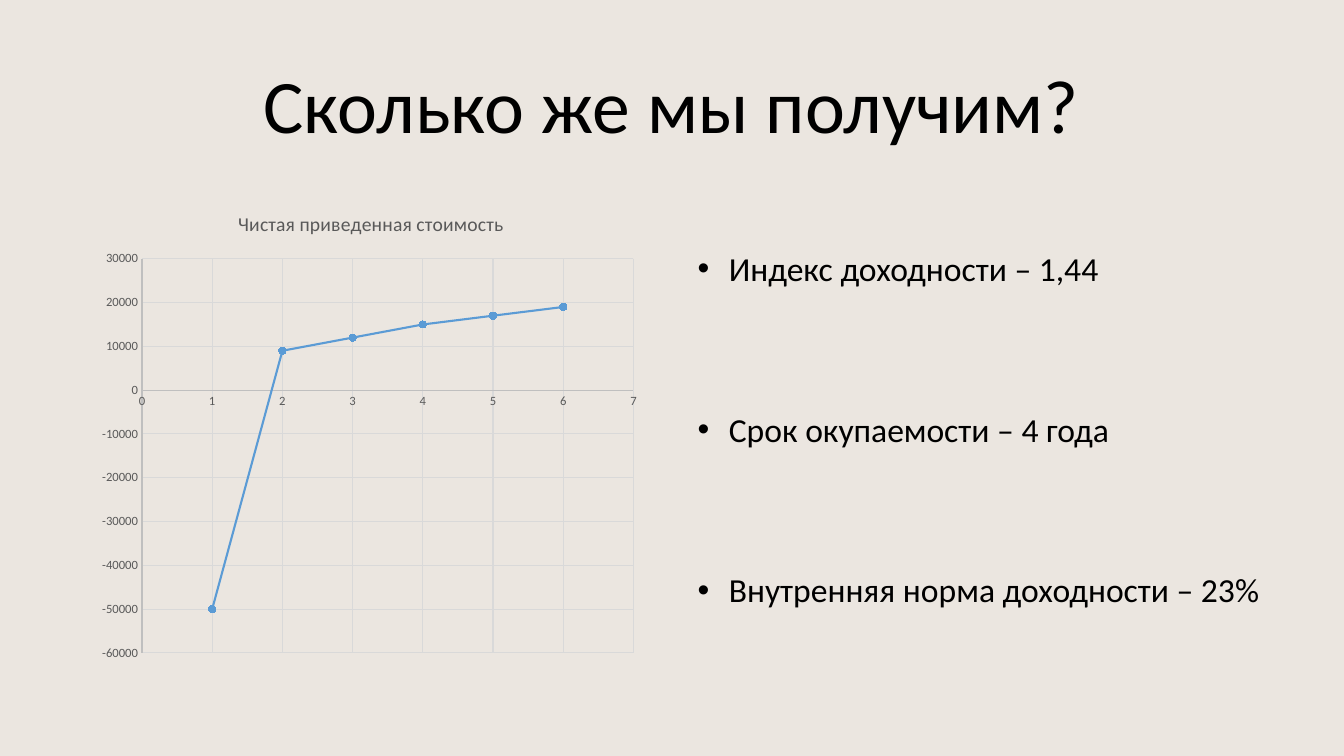
from lxml.etree import SubElement
from pptx import Presentation
from pptx.chart.data import XyChartData
from pptx.dml.color import RGBColor
from pptx.enum.chart import XL_CHART_TYPE, XL_MARKER_STYLE, XL_TICK_MARK
from pptx.enum.text import MSO_ANCHOR, PP_ALIGN
from pptx.oxml import parse_xml
from pptx.oxml.ns import nsdecls, qn
from pptx.util import Inches, Pt

FACTS = [
    "Индекс доходности – 1,44",
    "Срок окупаемости – 4 года",
    "Внутренняя норма доходности – 23%",
]
VALUES = [-50000, 9000, 12000, 15000, 17000, 19000]


def paint(fill, color):
    """Fill with a solid hex colour."""
    fill.solid()
    fill.fore_color.rgb = RGBColor.from_string(color)


def style(font, size, color="000000"):
    """Set the face, size and colour of a font."""
    font.name = "Calibri"
    font.size = Pt(size)
    font.bold = False
    paint(font.fill, color)


def stroke(line, color, width=0.75):
    """Set the colour and width of a line."""
    paint(line.fill, color)
    line.width = Pt(width)


def bullet(para, indent=0.31):
    """Give a paragraph a hanging bullet."""
    props = para._p.get_or_add_pPr()
    props.set("marL", str(Inches(indent)))
    props.set("indent", str(-Inches(indent)))
    props.append(parse_xml(f'<a:buFont {nsdecls("a")} typeface="Arial"/>'))
    props.append(parse_xml(f'<a:buChar {nsdecls("a")} char="•"/>'))


def add_text(slide, lines, box, size, align=PP_ALIGN.LEFT,
             anchor=MSO_ANCHOR.TOP, space=None, gap=0, dots=False):
    """Add a text box with one paragraph per line."""
    frame = slide.shapes.add_textbox(*map(Inches, box)).text_frame
    frame.word_wrap = True
    frame.vertical_anchor = anchor
    for i, line in enumerate(lines):
        para = frame.add_paragraph() if i else frame.paragraphs[0]
        para.alignment = align
        if space:
            para.line_spacing = space
        if i:
            para.space_before = Pt(gap)
        if dots:
            bullet(para)
        run = para.add_run()
        run.text = line
        style(run.font, size)


def place(parent, **parts):
    """Fix the layout of a chart part by fractions of the chart."""
    layout = parent.find(qn("c:layout"))
    if layout is None:
        layout = parent._add_layout() if hasattr(parent, "_add_layout") \
            else SubElement(parent, qn("c:layout"))
    manual = SubElement(layout, qn("c:manualLayout"))
    for name, value in parts.items():
        SubElement(manual, qn(f"c:{name}")).set("val", str(value))


def set_axis(axis, low, high, step):
    """Scale and format one axis with its grid."""
    axis.minimum_scale, axis.maximum_scale = low, high
    axis.major_unit = step
    axis.major_tick_mark = axis.minor_tick_mark = XL_TICK_MARK.NONE
    axis.has_major_gridlines = True
    stroke(axis.major_gridlines.format.line, "D9D9D9")
    stroke(axis.format.line, "BFBFBF")
    style(axis.tick_labels.font, 9, "595959")
    axis.tick_labels.number_format = "General"
    axis.tick_labels.number_format_is_linked = False


def add_graph(slide, title, values, box):
    """Add the scatter chart of net present value."""
    data = XyChartData()
    points = data.add_series("Series 1")
    for year, value in enumerate(values, 1):
        points.add_data_point(year, value)
    chart = slide.shapes.add_chart(
        XL_CHART_TYPE.XY_SCATTER_LINES, *map(Inches, box), data).chart
    style(chart.font, 10)
    chart.has_legend = False
    chart.has_title = True
    head = chart.chart_title
    head.include_in_layout = False
    run = head.text_frame.paragraphs[0].add_run()
    run.text = title
    style(run.font, 14, "595959")
    set_axis(chart.category_axis, 0, 7, 1)
    set_axis(chart.value_axis, -60000, 30000, 10000)
    plot = chart.plots[0]
    plot.vary_by_categories = False
    series = plot.series[0]
    series.smooth = False
    stroke(series.format.line, "5B9BD5", 1.5)
    mark = series.marker
    mark.style, mark.size = XL_MARKER_STYLE.CIRCLE, 5
    paint(mark.format.fill, "5B9BD5")
    stroke(mark.format.line, "5B9BD5")
    area = chart._chartSpace.chart.plotArea
    if area.find(qn("c:layout")) is None:
        area.insert(0, area.makeelement(qn("c:layout")))
    place(area, layoutTarget="inner", xMode="edge", yMode="edge",
          x=0.09, y=0.14, w=0.88, h=0.82)


def main():
    """Build and save the slide."""
    deck = Presentation()
    deck.slide_width, deck.slide_height = Inches(13.33), Inches(7.5)
    slide = deck.slides.add_slide(deck.slide_layouts[6])
    paint(slide.background.fill, "EBE6E0")
    add_text(slide, ["Сколько же мы получим?"], (0.91, 0.56, 11.5, 0.98), 54,
             align=PP_ALIGN.CENTER, anchor=MSO_ANCHOR.BOTTOM, space=0.9)
    add_graph(slide, "Чистая приведенная стоимость", VALUES,
              (0.91, 1.9, 5.54, 4.77))
    add_text(slide, FACTS, (6.82, 2.41, 6.35, 3.74), 24, gap=86, dots=True)
    deck.save("out.pptx")


if __name__ == "__main__":
    main()
